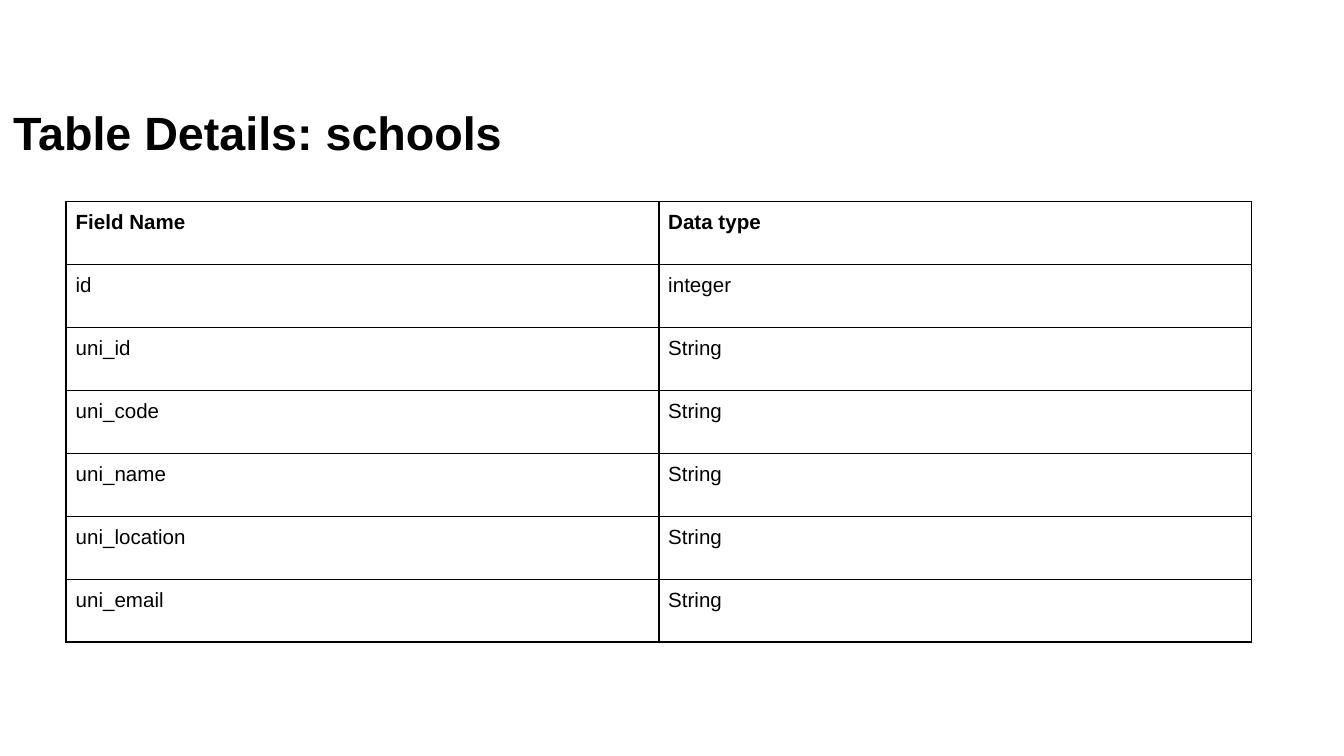
from lxml.etree import SubElement
from pptx import Presentation
from pptx.dml.color import RGBColor
from pptx.enum.text import MSO_ANCHOR, PP_ALIGN
from pptx.oxml.ns import qn
from pptx.util import Cm, Pt

COLOURS = {"ink": "000000", "paper": "FFFFFF"}
FONT = "Arial"
FIELDS = [
    ("Field Name", "Data type"),
    ("id", "integer"),
    ("uni_id", "String"),
    ("uni_code", "String"),
    ("uni_name", "String"),
    ("uni_location", "String"),
    ("uni_email", "String"),
]


def format_runs(paragraph, size, bold):
    """Apply the slide's font to every run of a paragraph."""
    for run in paragraph.runs:
        run.font.name = FONT
        run.font.size = Pt(size)
        run.font.bold = bold
        run.font.color.rgb = RGBColor.from_string(COLOURS["ink"])


def set_margins(target, margin):
    """Give a cell or text frame the same margin on all sides."""
    target.margin_left = target.margin_right = margin
    target.margin_top = target.margin_bottom = margin


def add_borders(cell):
    """Draw a thin line on each side of a cell."""
    properties = cell._tc.get_or_add_tcPr()
    for position, side in enumerate(("a:lnL", "a:lnR", "a:lnT", "a:lnB")):
        line = SubElement(properties, qn(side), w=str(Pt(1)))
        fill = SubElement(line, qn("a:solidFill"))
        SubElement(fill, qn("a:srgbClr"), val=COLOURS["ink"])
        properties.insert(position, line)


def add_title(slide, text, left, top, width, height):
    """Place the slide title in the given box."""
    text_frame = slide.shapes.add_textbox(left, top, width, height).text_frame
    text_frame.word_wrap = True
    text_frame.vertical_anchor = MSO_ANCHOR.TOP
    set_margins(text_frame, Cm(0.25))
    text_frame.text = text
    paragraph = text_frame.paragraphs[0]
    paragraph.alignment = PP_ALIGN.JUSTIFY
    paragraph.line_spacing = 2.0
    paragraph.space_before = Pt(12)
    format_runs(paragraph, 25, True)


def add_field_table(slide, fields, left, top, width, height):
    """Fill the given box with a table of fields and their types."""
    frame = slide.shapes.add_table(
        len(fields), len(fields[0]), left, top, width, height)
    for row_index, values in enumerate(fields):
        for column_index, value in enumerate(values):
            cell = frame.table.cell(row_index, column_index)
            cell.text = value
            set_margins(cell, Cm(0.18))
            cell.fill.solid()
            cell.fill.fore_color.rgb = RGBColor.from_string(COLOURS["paper"])
            add_borders(cell)
            format_runs(cell.text_frame.paragraphs[0], 11, row_index == 0)


def main():
    """Build the slide and save it."""
    presentation = Presentation()
    presentation.slide_width, presentation.slide_height = Cm(25.4), Cm(14.29)
    slide = presentation.slides.add_slide(presentation.slide_layouts[6])
    add_title(slide, "Table Details: schools",
              Cm(0), Cm(0.66), Cm(23.67), Cm(1.6))
    add_field_table(slide, FIELDS, Cm(1.25), Cm(3.81), Cm(22.4), Cm(8.33))
    presentation.save("out.pptx")


if __name__ == "__main__":
    main()
